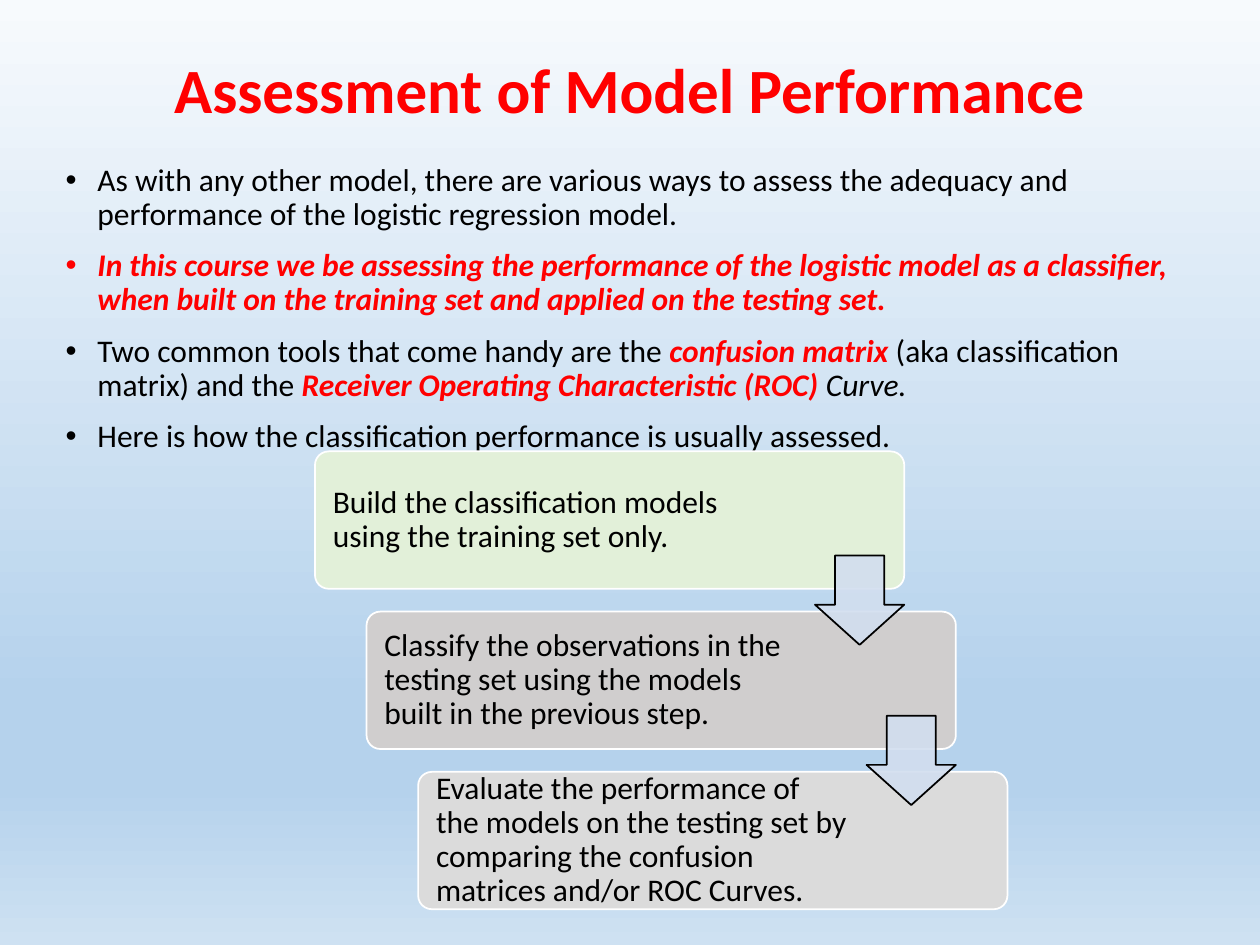
from lxml.etree import SubElement
from pptx import Presentation
from pptx.dml.color import RGBColor
from pptx.enum.shapes import MSO_SHAPE
from pptx.enum.text import MSO_ANCHOR, MSO_AUTO_SIZE, PP_ALIGN
from pptx.oxml.ns import qn
from pptx.util import Cm, Pt


def tint(code):
    return RGBColor.from_string(code)


def write(para, text, size=18, color="000000", bold=False, italic=False):
    para.line_spacing = 0.9
    run = para.add_run()
    run.text = text
    font = run.font
    font.name, font.size = "Calibri", Pt(size)
    font.bold, font.italic = bold, italic
    font.color.rgb = tint(color)


deck = Presentation()
deck.slide_width, deck.slide_height = Cm(25.4), Cm(19.05)
slide = deck.slides.add_slide(deck.slide_layouts[1])

# Background gradient, top to bottom
fill = slide.background.fill
fill.gradient()
fill.gradient_angle = 270
stops = slide.element.find(".//" + qn("a:gsLst"))
stops.clear()
for pos, code in [(0, "F7FAFD"), (74, "B5D2EC"), (83, "B5D2EC"), (100, "CEE1F2")]:
    stop = SubElement(stops, qn("a:gs"), pos=str(pos * 1000))
    SubElement(stop, qn("a:srgbClr"), val=code)

# Title
title = slide.shapes.title
title.left, title.top, title.width, title.height = Cm(1.75), Cm(1.02), Cm(21.89), Cm(1.7)
frame = title.text_frame
frame.auto_size = MSO_AUTO_SIZE.NONE
frame.vertical_anchor = MSO_ANCHOR.MIDDLE
para = frame.paragraphs[0]
para.alignment = PP_ALIGN.CENTER
write(para, "Assessment of Model Performance", size=36, color="FF0000", bold=True)

# Bullet list
key = dict(color="FF0000", bold=True, italic=True)
points = [
    [("As with any other model, there are various ways to assess the adequacy and "
      "performance of the logistic regression model.", {})],
    [("In this course we be assessing the performance of the logistic model as a "
      "classifier, when built on the training set and applied on the testing set.", key)],
    [("Two common tools that come handy are the ", {}),
     ("confusion matrix ", key),
     ("(aka classification matrix) and the ", {}),
     ("Receiver Operating Characteristic (ROC) ", key),
     ("Curve.", dict(italic=True))],
    [("Here is how the classification performance is usually assessed.", {})],
]
body = slide.placeholders[1]
body.left, body.top, body.width, body.height = Cm(1.07), Cm(3.18), Cm(22.86), Cm(13.79)
frame = body.text_frame
frame.auto_size = MSO_AUTO_SIZE.NONE
for i, parts in enumerate(points):
    para = frame.add_paragraph() if i else frame.paragraphs[0]
    props = para._p.get_or_add_pPr()
    props.set("marL", str(Cm(0.64)))
    props.set("indent", str(Cm(-0.64)))
    SubElement(props, qn("a:buFont"), typeface="Arial")
    SubElement(props, qn("a:buChar"), char="•")
    para.space_before = Pt(10 if i else 0)
    for text, form in parts:
        write(para, text, **form)

# Step boxes, each one set in and down from the last
steps = [
    ("Build the classification models using the training set only.", "E2F0D9"),
    ("Classify the observations in the testing set using the models built in the "
     "previous step.", "D0CECE"),
    ("Evaluate the performance of the models on the testing set by comparing the "
     "confusion matrices and/or ROC Curves.", "DBDBDB"),
]
left, top, wide, high = 6.35, 9.1, 11.88, 2.77
right, down = 1.04, 3.23
for i, (text, code) in enumerate(steps):
    box = slide.shapes.add_shape(MSO_SHAPE.ROUNDED_RECTANGLE, Cm(left + i * right),
                                 Cm(top + i * down), Cm(wide), Cm(high))
    box.adjustments[0] = 0.1
    box.shadow.inherit = False
    box.fill.solid()
    box.fill.fore_color.rgb = tint(code)
    box.line.color.rgb = tint("FFFFFF")
    box.line.width = Pt(1)
    frame = box.text_frame
    frame.word_wrap = True
    frame.vertical_anchor = MSO_ANCHOR.MIDDLE
    frame.margin_left = frame.margin_top = frame.margin_bottom = Cm(0.28)
    frame.margin_right = Cm(3.12)
    para = frame.paragraphs[0]
    para.alignment = PP_ALIGN.LEFT
    write(para, text)

# Arrows between the boxes, flush with the right edge of the upper one
side = 1.8
for i in range(len(steps) - 1):
    arrow = slide.shapes.add_shape(MSO_SHAPE.DOWN_ARROW, Cm(left + wide - side + i * right),
                                   Cm(11.2 + i * down), Cm(side), Cm(side))
    arrow.adjustments[0] = 0.55
    arrow.adjustments[1] = 0.45
    arrow.shadow.inherit = False
    arrow.fill.solid()
    arrow.fill.fore_color.rgb = tint("D2DEEF")
    shade = arrow.element.spPr.find(qn("a:solidFill")).find(qn("a:srgbClr"))
    SubElement(shade, qn("a:alpha"), val="90000")
    arrow.line.color.rgb = tint("000000")
    arrow.line.width = Pt(1)

deck.save("out.pptx")
